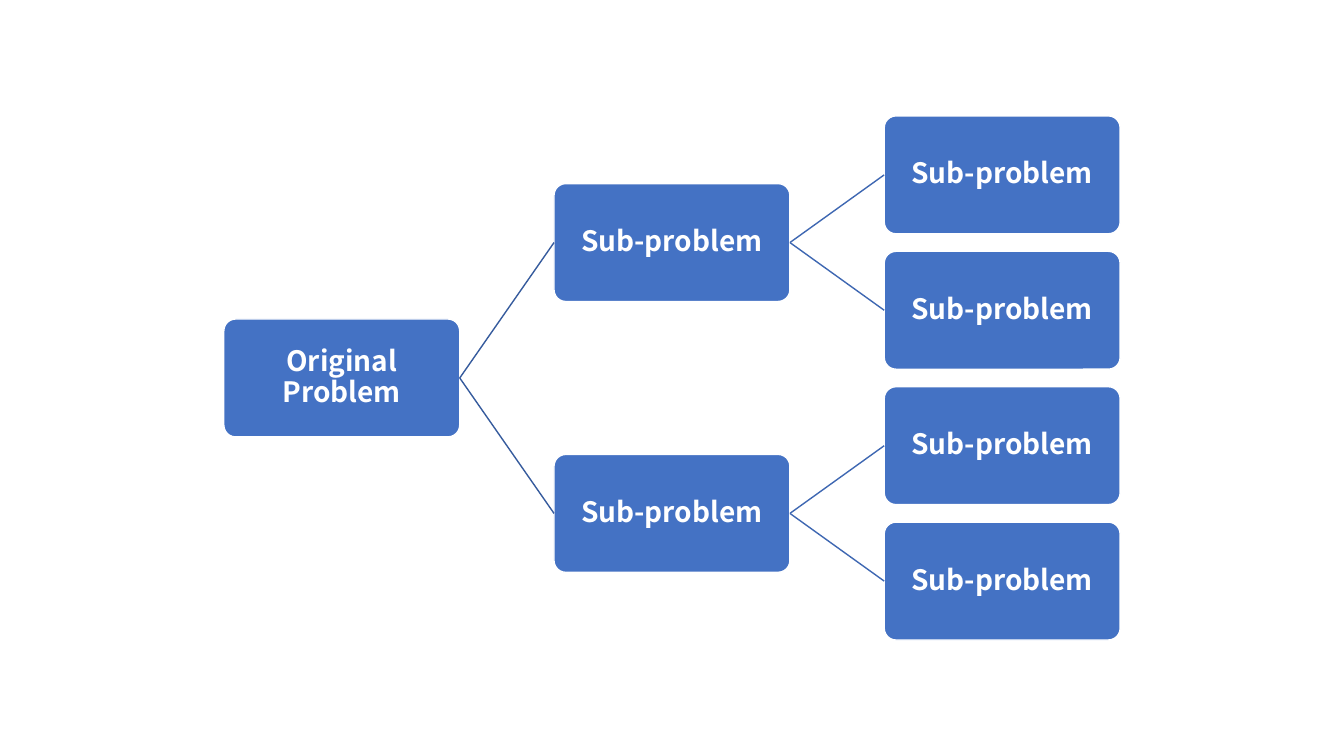
"""Builds a slide that splits a problem into a tree of sub-problems."""
from lxml import etree
from pptx import Presentation
from pptx.dml.color import RGBColor
from pptx.enum import shapes, text
from pptx.oxml.ns import qn
from pptx.util import Inches, Pt

LEVELS = [
    ["Original Problem"],
    ["Sub-problem"] * 2,
    ["Sub-problem"] * 4,
]
COLORS = {"box": "4472C4", "white": "FFFFFF"}
LINK_COLORS = ["365B9D", "3E67B2"]
FONT = "Noto Sans CJK SC"

SLIDE_WIDTH, SLIDE_HEIGHT = 13.33, 7.5
BOX_WIDTH, BOX_HEIGHT = 2.34, 1.17
FIRST_LEFT, LAST_LEFT = 2.22, 8.77
FIRST_TOP, LAST_TOP = 1.15, 5.18
COLUMN_STEP = (LAST_LEFT - FIRST_LEFT) / (len(LEVELS) - 1)
ROW_STEP = (LAST_TOP - FIRST_TOP) / (len(LEVELS[-1]) - 1)
LEFT_SITE, RIGHT_SITE = 1, 3


def write(shape, words, size=20, color="white", bold=True):
    """Put centred text into a shape."""
    frame = shape.text_frame
    frame.word_wrap = True
    frame.vertical_anchor = text.MSO_ANCHOR.MIDDLE
    frame.margin_left = frame.margin_right = Inches(0.01)
    frame.margin_top = frame.margin_bottom = Inches(0.01)
    para = frame.paragraphs[0]
    para.alignment = text.PP_ALIGN.CENTER
    para.line_spacing = 0.9
    para.space_after = Pt(size * 0.35)
    span = para.add_run()
    span.text = words
    span.font.name = FONT
    span.font.size = Pt(size)
    span.font.bold = bold
    span.font.color.rgb = RGBColor.from_string(COLORS[color])


def add_box(page, words, left, top):
    """Add one rounded box of the tree."""
    box = page.shapes.add_shape(
        shapes.MSO_SHAPE.ROUNDED_RECTANGLE,
        Inches(left), Inches(top), Inches(BOX_WIDTH), Inches(BOX_HEIGHT))
    box.adjustments[0] = 0.1
    box.shadow.inherit = False
    box.fill.solid()
    box.fill.fore_color.rgb = RGBColor.from_string(COLORS["box"])
    box.line.color.rgb = RGBColor.from_string(COLORS["white"])
    box.line.width = Pt(1)
    write(box, words)
    return box


def add_link(page, parent, child, color):
    """Join the right side of a parent to the left side of its child."""
    link = page.shapes.add_connector(shapes.MSO_CONNECTOR.STRAIGHT, 0, 0, 0, 0)
    link.begin_connect(parent, RIGHT_SITE)
    link.end_connect(child, LEFT_SITE)
    link.line.color.rgb = RGBColor.from_string(color)
    link.line.width = Pt(1)
    etree.SubElement(link._element.spPr, qn("a:effectLst"))


def main():
    """Draw the tree level by level and save it."""
    deck = Presentation()
    deck.slide_width, deck.slide_height = Inches(SLIDE_WIDTH), Inches(SLIDE_HEIGHT)
    page = deck.slides.add_slide(deck.slide_layouts[6])
    parents = []
    for depth, labels in enumerate(LEVELS):
        leaves = len(LEVELS[-1]) / len(labels)
        boxes = []
        for row, words in enumerate(labels):
            leaf_row = row * leaves + (leaves - 1) / 2
            box = add_box(page, words, FIRST_LEFT + depth * COLUMN_STEP,
                          FIRST_TOP + leaf_row * ROW_STEP)
            if parents:
                add_link(page, parents[row // 2], box, LINK_COLORS[depth - 1])
            boxes.append(box)
        parents = boxes
    deck.save("out.pptx")


if __name__ == "__main__":
    main()
